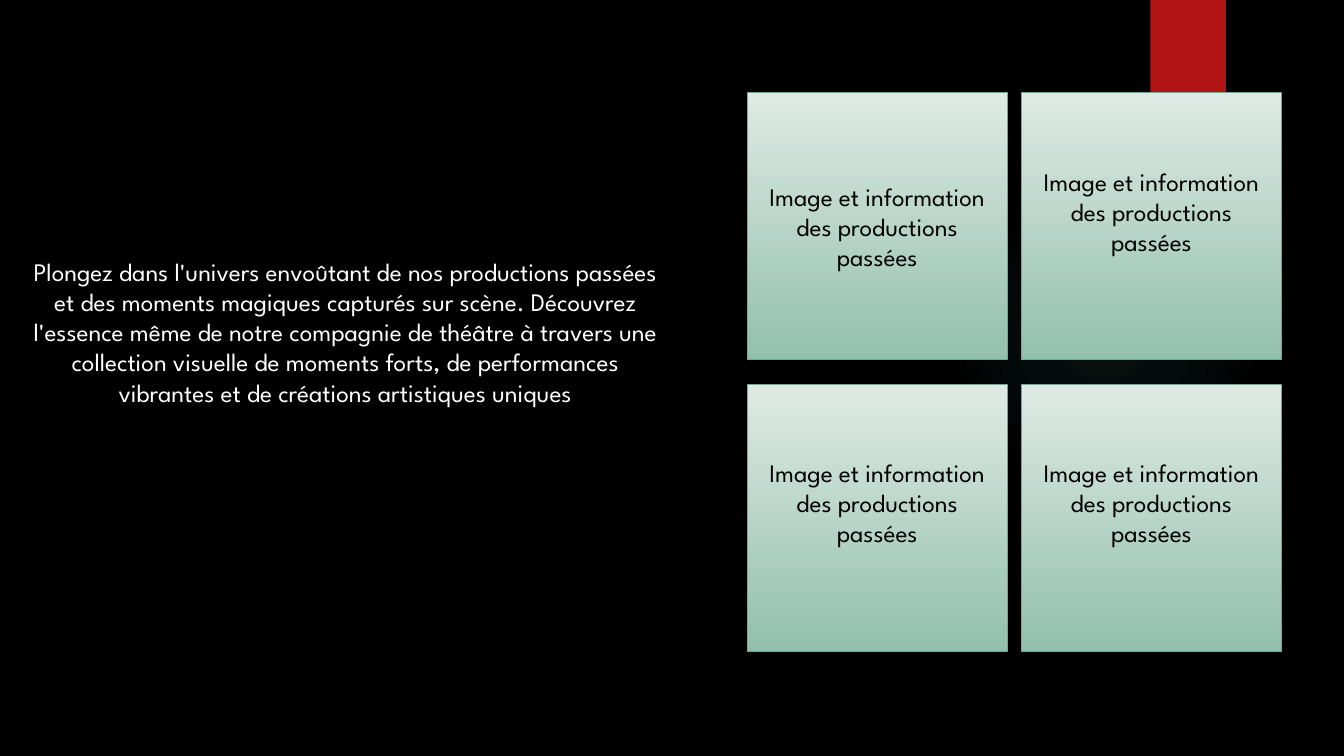
"""Build a slide of past theatre productions with four cards."""
import dataclasses

import pptx
import pptx.dml.color
import pptx.dml.fill
import pptx.enum.shapes
import pptx.enum.text
import pptx.oxml
import pptx.oxml.ns
import pptx.shapes.autoshape
import pptx.slide
import pptx.util

RGB = pptx.dml.color.RGBColor
Inches = pptx.util.Inches
KIND = pptx.enum.shapes.MSO_SHAPE
BLACK = RGB(0x00, 0x00, 0x00)
WHITE = RGB(0xFF, 0xFF, 0xFF)
RED = RGB(0xB0, 0x15, 0x13)
TEAL = RGB(0x50, 0xB9, 0xC1)
PALE = RGB(0xDE, 0xEA, 0xE4)
SAGE = RGB(0x93, 0xC0, 0xAC)
EDGE = RGB(0x6A, 0xAC, 0x90)
FONT = "League Spartan"
INTRO = (
    "Plongez dans l'univers envoûtant de nos productions passées et des moments "
    "magiques capturés sur scène. Découvrez l'essence même de notre compagnie de "
    "théâtre à travers une collection visuelle de moments forts, de performances "
    "vibrantes et de créations artistiques uniques"
)
LABEL = "Image et information des productions passées"


@dataclasses.dataclass(frozen=True)
class Box:
    left: float
    top: float
    width: float
    height: float

    def place(self) -> tuple[int, ...]:
        return tuple(Inches(size) for size in dataclasses.astuple(self))


@dataclasses.dataclass(frozen=True)
class Card:
    box: Box
    lift: float


CARDS = [
    Card(Box(7.41 + 2.72 * col, 0.92 + 2.89 * row, 2.58, 2.65), 0.3 if row or col else 0)
    for row in range(2)
    for col in range(2)
]


def add_plain(slide: pptx.slide.Slide, kind: KIND, box: Box) -> pptx.shapes.autoshape.Shape:
    shape = slide.shapes.add_shape(kind, *box.place())
    shape.shadow.inherit = False
    shape.line.fill.background()
    return shape


def set_text(shape: pptx.shapes.autoshape.Shape, text: str, color: RGB) -> None:
    frame = shape.text_frame
    frame.word_wrap = True
    frame.text = text
    para = frame.paragraphs[0]
    para.alignment = pptx.enum.text.PP_ALIGN.CENTER
    font = para.runs[0].font
    font.name = FONT
    font.size = pptx.util.Pt(18)
    font.color.rgb = color


def add_glow(slide: pptx.slide.Slide, box: Box) -> None:
    glow = add_plain(slide, KIND.OVAL, box)
    glow.fill.background()
    stops = "".join(
        f'<a:gs pos="{pos * 1000}"><a:srgbClr val="{TEAL}">'
        f'<a:alpha val="{alpha * 1000}"/></a:srgbClr></a:gs>'
        for pos, alpha in ((0, 7), (36, 6), (69, 0))
    )
    fill = pptx.oxml.parse_xml(
        f'<a:gradFill {pptx.oxml.ns.nsdecls("a")} rotWithShape="1">'
        f'<a:gsLst>{stops}</a:gsLst><a:path path="circle">'
        '<a:fillToRect l="50000" t="50000" r="50000" b="50000"/></a:path></a:gradFill>'
    )
    props = glow._element.spPr
    props.replace(props.find(pptx.oxml.ns.qn("a:noFill")), fill)


def add_card(slide: pptx.slide.Slide, card: Card) -> None:
    shape = add_plain(slide, KIND.RECTANGLE, card.box)
    shape.fill.gradient()
    shape.fill.gradient_angle = 270
    for stop, color in zip(shape.fill.gradient_stops, (PALE, SAGE)):
        stop.color.rgb = color
    shape.line.color.rgb = EDGE
    shape.line.width = pptx.util.Pt(0.75)
    set_text(shape, LABEL, BLACK)
    shape.text_frame.vertical_anchor = pptx.enum.text.MSO_ANCHOR.MIDDLE
    shape.text_frame.margin_bottom = Inches(0.05 + card.lift)


def main() -> None:
    deck = pptx.Presentation()
    deck.slide_width = Inches(13.33)
    deck.slide_height = Inches(7.5)
    slide = deck.slides.add_slide(deck.slide_layouts[6])
    slide.background.fill.solid()
    slide.background.fill.fore_color.rgb = BLACK
    add_glow(slide, Box(9.41, 1.83, 3.08, 3.08))
    flag = add_plain(slide, KIND.RECTANGLE, Box(11.41, 0, 0.75, 1.25))
    flag.fill.solid()
    flag.fill.fore_color.rgb = RED
    intro = slide.shapes.add_textbox(*Box(0.18, 2.49, 6.49, 2.52).place())
    set_text(intro, INTRO, WHITE)
    for card in CARDS:
        add_card(slide, card)
    deck.save("out.pptx")


if __name__ == "__main__":
    main()
